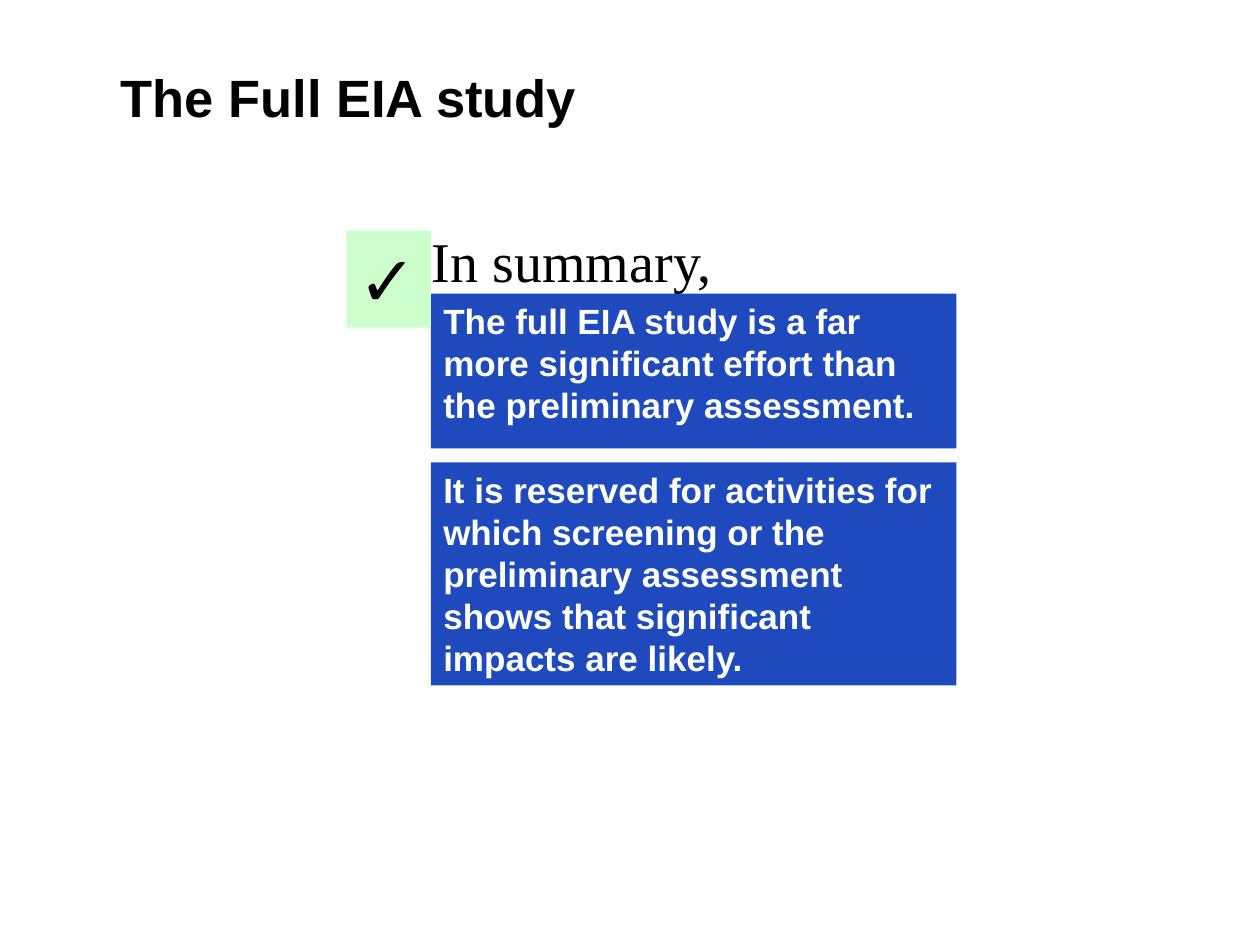
import dataclasses

import pptx
import pptx.dml.color
import pptx.enum.shapes
import pptx.enum.text
import pptx.util

Inches = pptx.util.Inches


@dataclasses.dataclass(frozen=True)
class Theme:
    panel: str = "1E4ABD"
    check_fill: str = "CCFFCC"
    dark: str = "000000"
    light: str = "FFFFFF"
    title_size: int = 30
    heading_size: int = 32
    panel_size: int = 20
    check_size: int = 40


THEME = Theme()
TITLE_FONT = {"name": "Arial", "size": THEME.title_size, "bold": True, "color": THEME.dark}
HEADING_FONT = {"name": "Times New Roman", "size": THEME.heading_size, "bold": False,
                "color": THEME.dark}
PANEL_FONT = {"name": "Arial", "size": THEME.panel_size, "bold": True, "color": THEME.light}
CHECK_FONT = {"name": "DejaVu Sans", "size": THEME.check_size, "bold": True,
              "color": THEME.dark}

STATEMENTS = [
    ("The full EIA study is a far more significant effort than the preliminary assessment.",
     0.58, 1.23),
    ("It is reserved for activities for which screening or the preliminary assessment "
     "shows that significant impacts are likely.", 1.92, 1.77),
]


def write_text(shape, text, font_format):
    frame = shape.text_frame
    frame.word_wrap = True
    frame.vertical_anchor = pptx.enum.text.MSO_ANCHOR.TOP
    paragraph = frame.paragraphs[0]
    paragraph.alignment = pptx.enum.text.PP_ALIGN.LEFT
    run = paragraph.add_run()
    run.text = text
    values = dict(font_format, size=pptx.util.Pt(font_format["size"]))
    color = values.pop("color")
    for attribute, value in values.items():
        setattr(run.font, attribute, value)
    run.font.color.rgb = pptx.dml.color.RGBColor.from_string(color)


def add_label(slide, box, text, font_format):
    label = slide.shapes.add_textbox(*map(Inches, box))
    write_text(label, text, font_format)


def add_panel(slide, box, text, fill, font_format):
    panel = slide.shapes.add_shape(
        pptx.enum.shapes.MSO_SHAPE.RECTANGLE, *map(Inches, box))
    panel.shadow.inherit = False
    panel.fill.solid()
    panel.fill.fore_color.rgb = pptx.dml.color.RGBColor.from_string(fill)
    panel.line.fill.background()
    write_text(panel, text, font_format)


def add_summary(slide, box):
    """Place the heading, its check mark and the statements below it."""
    left, top, width, height = box
    check_width = 0.67
    panel_left = left + check_width
    panel_width = width - check_width
    add_label(slide, (panel_left - 0.09, top, 5.33, 0.67), "In summary,", HEADING_FONT)
    for text, offset, panel_height in STATEMENTS:
        add_panel(slide, (panel_left, top + offset, panel_width, panel_height),
                  text, THEME.panel, PANEL_FONT)
    add_panel(slide, (left, top + 0.08, check_width, 0.77), "✓",
              THEME.check_fill, CHECK_FONT)


def main():
    presentation = pptx.Presentation()
    presentation.slide_width = Inches(10)
    presentation.slide_height = Inches(7.5)
    slide = presentation.slides.add_slide(presentation.slide_layouts[6])
    add_summary(slide, (2.75, 1.75, 4.84, 3.69))
    add_label(slide, (0.86, 0.47, 3.86, 0.61), "The Full EIA study", TITLE_FONT)
    presentation.save("out.pptx")


if __name__ == "__main__":
    main()
